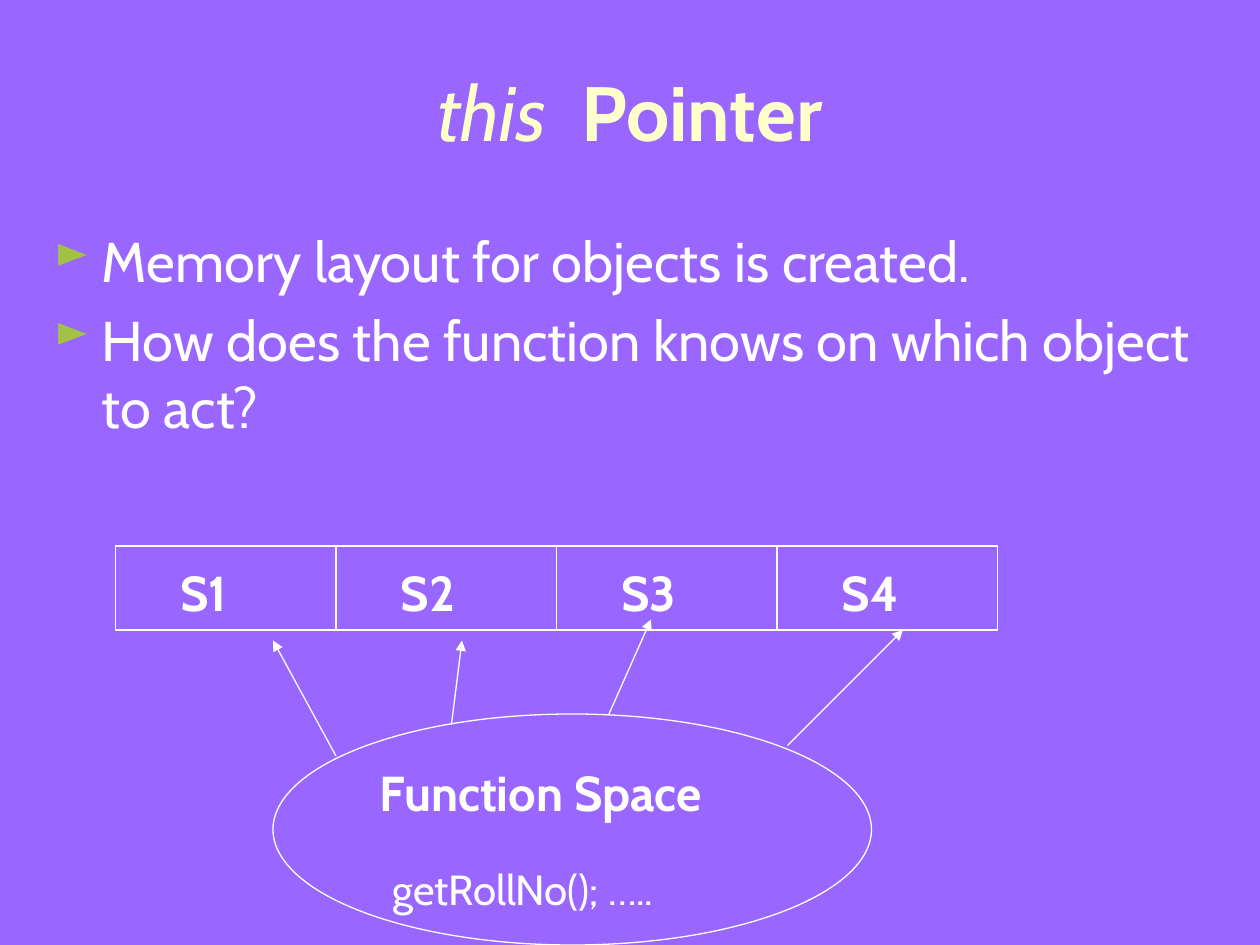
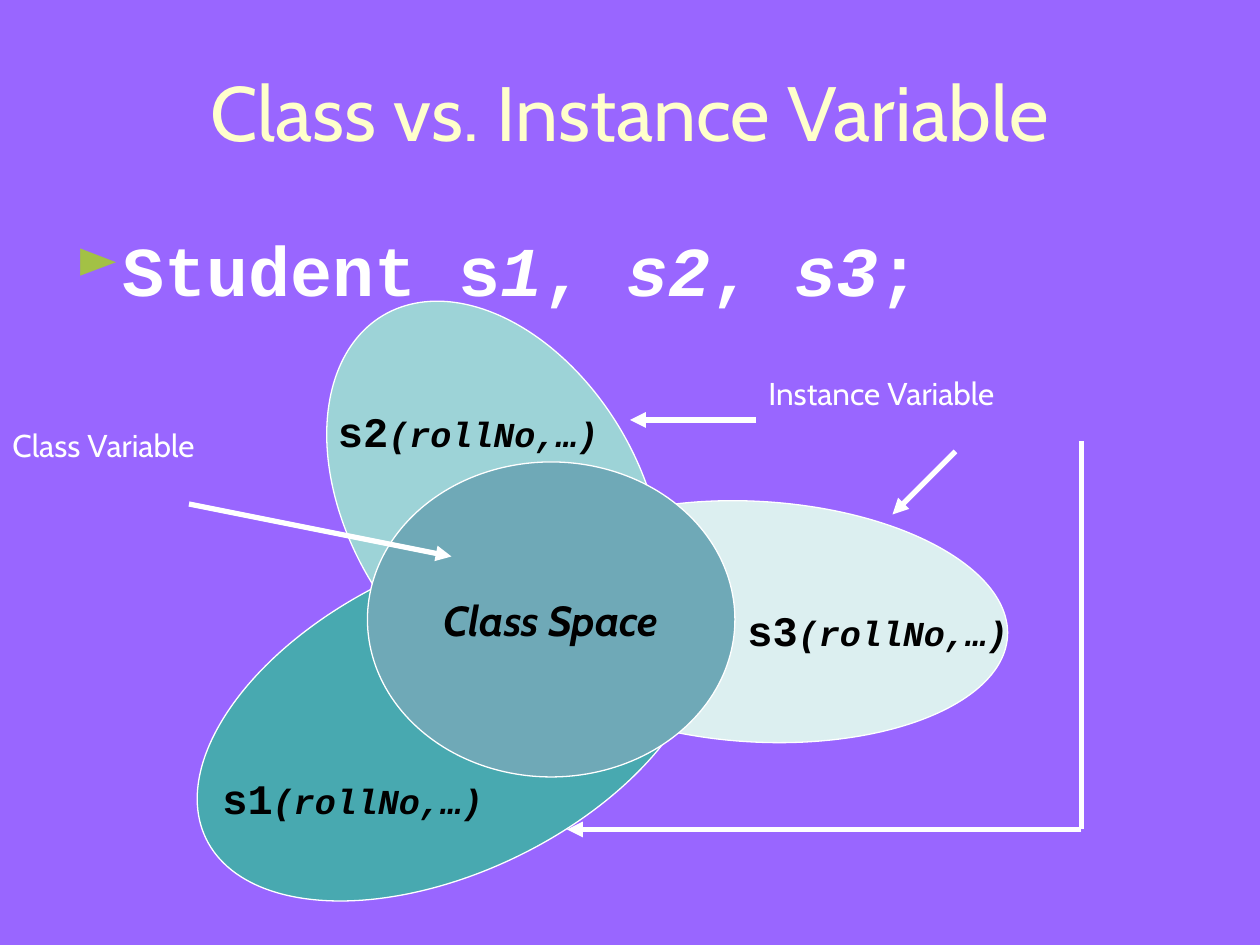
"""Build two slides on the this pointer and on class and instance variables."""
from pptx import Presentation
from pptx.dml.color import RGBColor
from pptx.enum.shapes import MSO_CONNECTOR, MSO_SHAPE
from pptx.enum.text import MSO_ANCHOR, PP_ALIGN
from pptx.oxml.ns import qn
from pptx.util import Pt
from lxml.etree import SubElement

COLORS = {
    "background": "9966FF",
    "title": "FFFFCC",
    "text": "FFFFFF",
    "bullet": "A3C145",
    "label": "000000",
    "s1": "48A9B0",
    "s2": "9DD3D7",
    "s3": "DCEFF0",
    "class": "6FA9B7",
}
BODY_FONT = "Cabin"
CODE_FONT = "Courier New"


def rgb(name):
    """Return the named colour."""
    return RGBColor.from_string(COLORS[name])


class Deck:
    """Hold the shared style and the current slide."""

    def __init__(self):
        """Start an empty 10 by 7.5 inch presentation."""
        self.presentation = Presentation()
        self.presentation.slide_width = Pt(720)
        self.presentation.slide_height = Pt(540)
        self.slide = None

    def new_slide(self, *title_runs):
        """Add a slide with its background and title."""
        self.slide = self.presentation.slides.add_slide(self.presentation.slide_layouts[6])
        self.slide.background.fill.solid()
        self.slide.background.fill.fore_color.rgb = rgb("background")
        title = self.text((24, 18, 672, 90), [title_runs], color="title")
        title.vertical_anchor = MSO_ANCHOR.MIDDLE
        title.paragraphs[0].alignment = PP_ALIGN.CENTER

    def fill_frame(self, frame, paragraphs, font=BODY_FONT, color="text", gap=0):
        """Fill a frame with paragraphs of (text, size, style) runs."""
        for index, runs in enumerate(paragraphs):
            paragraph = frame.add_paragraph() if index else frame.paragraphs[0]
            if index:
                paragraph.space_before = Pt(gap)
            for words, size, style in runs:
                run = paragraph.add_run()
                run.text = words
                run.font.name = font
                run.font.size = Pt(size)
                run.font.bold = "b" in style
                run.font.italic = "i" in style
                run.font.color.rgb = rgb(color)

    def text(self, box, paragraphs, **style):
        """Add a wrapping text box and return its frame."""
        frame = self.slide.shapes.add_textbox(*map(Pt, box)).text_frame
        frame.word_wrap = True
        self.fill_frame(frame, paragraphs, **style)
        return frame

    def bullets(self, box, paragraphs, line_spacing=None, **style):
        """Add a bulleted text box."""
        for paragraph in self.text(box, paragraphs, **style).paragraphs:
            if line_spacing:
                paragraph.line_spacing = line_spacing
            properties = paragraph._p.get_or_add_pPr()
            properties.set("marL", str(Pt(27)))
            properties.set("indent", str(-Pt(27)))
            bullet_color = SubElement(properties, qn("a:buClr"))
            SubElement(bullet_color, qn("a:srgbClr"), val=COLORS["bullet"])
            SubElement(properties, qn("a:buSzPct"), val="80000")
            SubElement(properties, qn("a:buChar"), char="►")

    def outline(self, preset, box, fill="background", rotation=0):
        """Add a filled shape with a thin border."""
        shape = self.slide.shapes.add_shape(preset, *map(Pt, box))
        shape.rotation = rotation
        shape.shadow.inherit = False
        shape.fill.solid()
        shape.fill.fore_color.rgb = rgb(fill)
        shape.line.color.rgb = rgb("text")
        shape.line.width = Pt(0.75)
        return shape

    def line(self, start, end, width, arrow=True):
        """Add a straight line, with an arrowhead at its end by default."""
        connector = self.slide.shapes.add_connector(
            MSO_CONNECTOR.STRAIGHT, *map(Pt, (*start, *end)))
        connector.line.color.rgb = rgb("text")
        connector.line.width = Pt(width)
        properties = connector._element.spPr
        if arrow:
            SubElement(properties.find(qn("a:ln")), qn("a:tailEnd"), type="triangle")
        SubElement(properties, qn("a:effectLst"))


def this_pointer(deck):
    """Draw the object memory cells and the function space."""
    deck.new_slide(("this ", 44, "i"), (" Pointer", 44, "b"))
    deck.bullets((24, 126, 672, 138), [
        [("Memory layout for objects is created.", 32, "")],
        [("How does the function knows on which object to act?", 32, "")],
    ], gap=6.4)
    cell_width = 126
    for index in range(4):
        left = 66 + index * cell_width
        deck.outline(MSO_SHAPE.RECTANGLE, (left, 312, cell_width, 48))
        deck.text((left + 30, 318, 78, 41), [[(f"S{index + 1}", 28, "b")]])
    deck.outline(MSO_SHAPE.OVAL, (156, 408, 342, 132))
    deck.text((210, 432, 250.5, 99), [
        [("Function Space", 28, "b")],
        [(" ", 32, ""), ("getRollNo(); …..", 24, "")],
    ], gap=16)
    for start, end in (
        ((192, 432), (156, 366)),
        ((258, 414), (264, 366)),
        ((348, 408), (372, 354)),
        ((450, 426), (516, 360)),
    ):
        deck.line(start, end, 0.75)


def class_and_instance(deck):
    """Draw three instances around the class space they share."""
    deck.new_slide(("Class vs. Instance Variable", 44, ""))
    deck.bullets((36, 135, 648, 356), [[
        ("Student s", 40, "b"), ("1", 40, "bi"), (", ", 40, "b"),
        ("s2", 40, "bi"), (", ", 40, "b"), ("s3", 40, "bi"), (";", 40, "b"),
    ]], line_spacing=0.8, font=CODE_FONT)
    for instance, box, rotation in (
        ("s3", (288, 286.5, 288, 137.5), 3.3),
        ("s1", (102, 324, 312, 174), 334),
        ("s2", (157.5, 204.5, 250.5, 167), 59.4),
    ):
        deck.outline(MSO_SHAPE.OVAL, box, instance, rotation)
    class_space = deck.outline(MSO_SHAPE.OVAL, (210, 264, 210, 180), "class").text_frame
    class_space.word_wrap = False
    class_space.vertical_anchor = MSO_ANCHOR.MIDDLE
    deck.fill_frame(class_space, [[("Class Space", 24, "bi")]], color="label")
    class_space.paragraphs[0].alignment = PP_ALIGN.CENTER
    for instance, left, top, width in (
        ("s1", 120, 438, 186), ("s2", 186, 228, 222), ("s3", 420, 342, 222),
    ):
        deck.text((left, top, width, 36),
                  [[(instance, 24, "b"), ("(rollNo,…)", 20, "bi")]],
                  font=CODE_FONT, color="label")
    corner = (618, 474)
    deck.line((618, 252), corner, 3, arrow=False)
    deck.line(corner, (324, 474), 3)
    deck.text((432, 210, 261, 45), [[("Instance Variable", 18, "")]])
    deck.line((546, 258), (510, 294), 3)
    deck.line((432, 240), (360, 240), 3)
    deck.text((0, 240, 168, 84), [[("Class Variable", 18, "")]])
    deck.line((108, 288), (258, 318), 3)


lesson = Deck()
this_pointer(lesson)
class_and_instance(lesson)
lesson.presentation.save("out.pptx")
